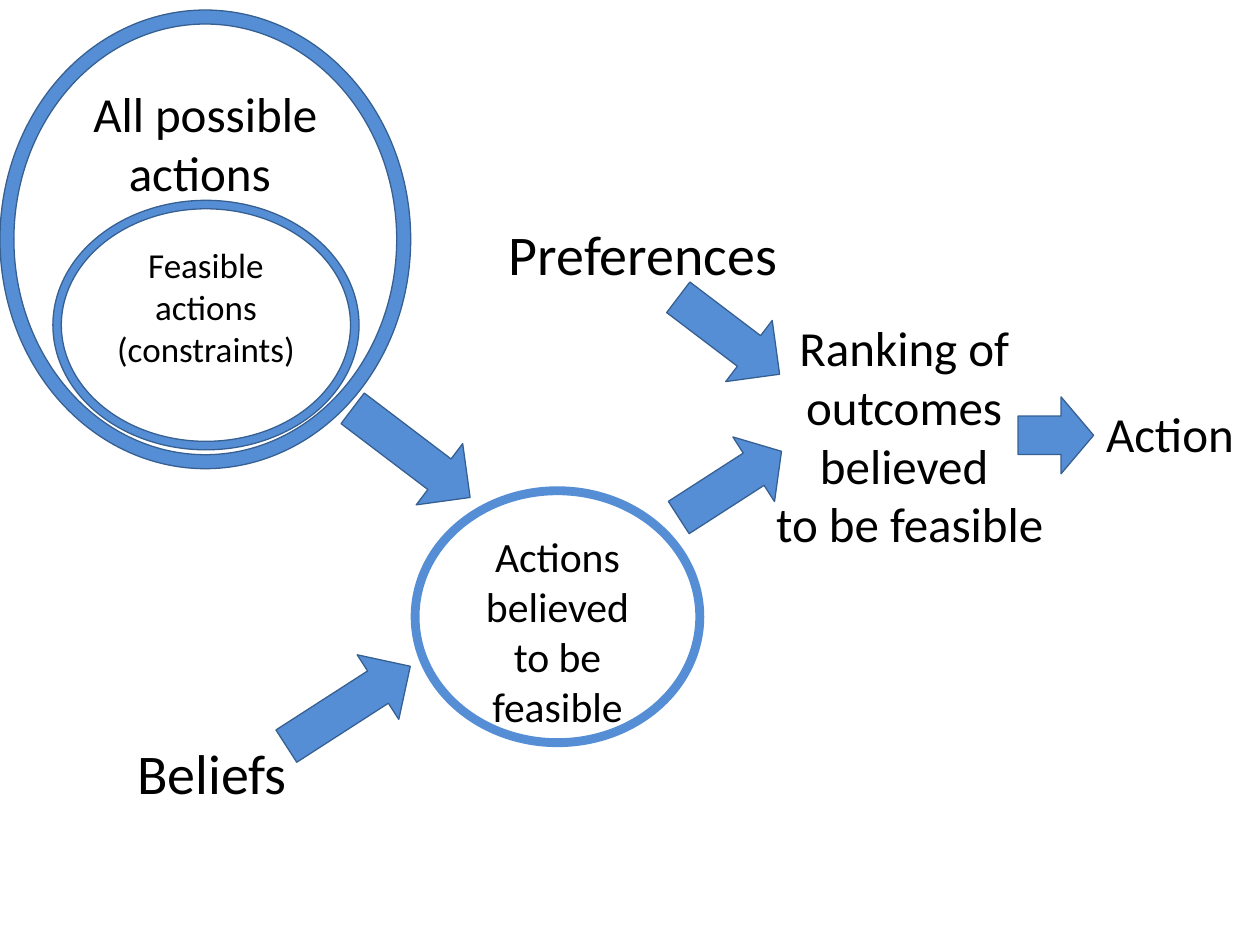
from dataclasses import dataclass

from pptx import Presentation
from pptx.dml.color import RGBColor
from pptx.enum.shapes import MSO_SHAPE as Shape
from pptx.enum.text import MSO_ANCHOR as Anchor, MSO_AUTO_SIZE as AutoSize, PP_ALIGN as Align
from pptx.util import Inches, Pt


@dataclass(frozen=True)
class Theme:
    font: str = "Calibri"
    text: RGBColor = RGBColor.from_string("000000")
    fill: RGBColor = RGBColor.from_string("558ED5")
    outline: RGBColor = RGBColor.from_string("376092")
    outline_width: float = 0.75
    ring: float = 0.034
    heading: float = 32
    body: float = 28
    medium: float = 23.8
    small: float = 20


class Diagram:
    columns = 100
    rows = 75

    def __init__(self, prs, theme):
        self.theme = theme
        self.column = prs.slide_width / self.columns
        self.row = prs.slide_height / self.rows
        self.slide = prs.slides.add_slide(prs.slide_layouts[6])

    def box(self, left, top, width, height):
        return (round(left * self.column), round(top * self.row),
                round(width * self.column), round(height * self.row))

    def set_text(self, tf, lines, size, align):
        tf.text = "\n".join(lines)
        for p in tf.paragraphs:
            p.alignment = align
            p.font.name = self.theme.font
            p.font.size = Pt(size)
            p.font.color.rgb = self.theme.text

    def shape(self, kind, area, outlined=True):
        sp = self.slide.shapes.add_shape(kind, *self.box(*area))
        sp.shadow.inherit = False
        sp.fill.solid()
        sp.fill.fore_color.rgb = self.theme.fill
        if outlined:
            sp.line.color.rgb = self.theme.outline
            sp.line.width = Pt(self.theme.outline_width)
        else:
            sp.line.fill.background()
        return sp

    def ring(self, area, text, size, outlined=True):
        sp = self.shape(Shape.DONUT, area, outlined)
        sp.adjustments[0] = self.theme.ring
        tf = sp.text_frame
        tf.word_wrap = True
        tf.vertical_anchor = Anchor.TOP
        self.set_text(tf, [text], size, Align.CENTER)

    def arrow(self, area, rotation=0, head=0.5):
        sp = self.shape(Shape.RIGHT_ARROW, area)
        sp.rotation = rotation
        sp.adjustments[1] = head

    def label(self, area, lines, size, align=Align.LEFT):
        tf = self.slide.shapes.add_textbox(*self.box(*area)).text_frame
        tf.word_wrap = False
        tf.auto_size = AutoSize.SHAPE_TO_FIT_TEXT
        self.set_text(tf, lines, size, align)


def main():
    prs = Presentation()
    prs.slide_width, prs.slide_height = Inches(10), Inches(7.5)
    theme = Theme()
    s = Diagram(prs, theme)
    down, up, short_head = 37.2, 327.2, 0.43

    s.ring((0, 0.8, 32.6, 36.4), "All possible actions ", theme.body)
    s.ring((4.2, 15.9, 24.3, 19.8), "Feasible actions (constraints)", theme.small)
    s.label((9.9, 58.1, 14.1, 6.4), ["Beliefs"], theme.heading)
    s.arrow((21.8, 53, 11.7, 6.1), up)
    s.arrow((26.8, 32.9, 11.7, 6.1), down)
    s.ring((32.6, 38.6, 23.3, 20.7), "Actions believed to be feasible", theme.medium, outlined=False)
    s.arrow((52.8, 23.6, 10.1, 6.1), down)
    s.label((60.4, 24.7, 23.6, 19.9),
            ["Ranking of ", "outcomes ", "believed ", "to be feasible"],
            theme.body, Align.CENTER)
    s.arrow((53.1, 35.4, 9.7, 6.1), up, short_head)
    s.label((39.4, 16.9, 23.8, 6.4), ["Preferences"], theme.heading)
    s.label((86.8, 31.5, 12.3, 5.7), ["Action"], theme.body)
    s.arrow((80.8, 31.5, 6, 6.1), head=short_head)

    prs.save("out.pptx")


if __name__ == "__main__":
    main()
